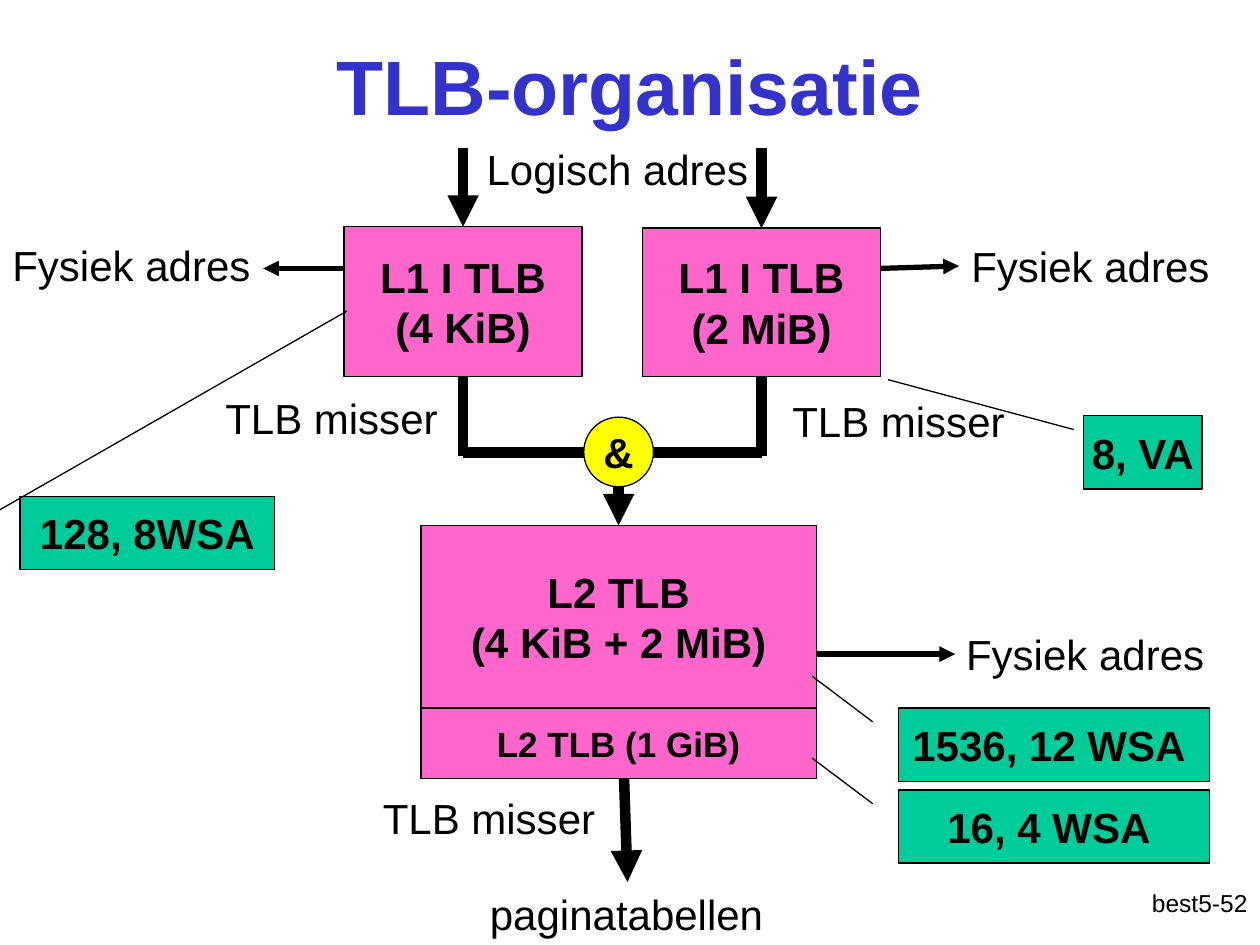
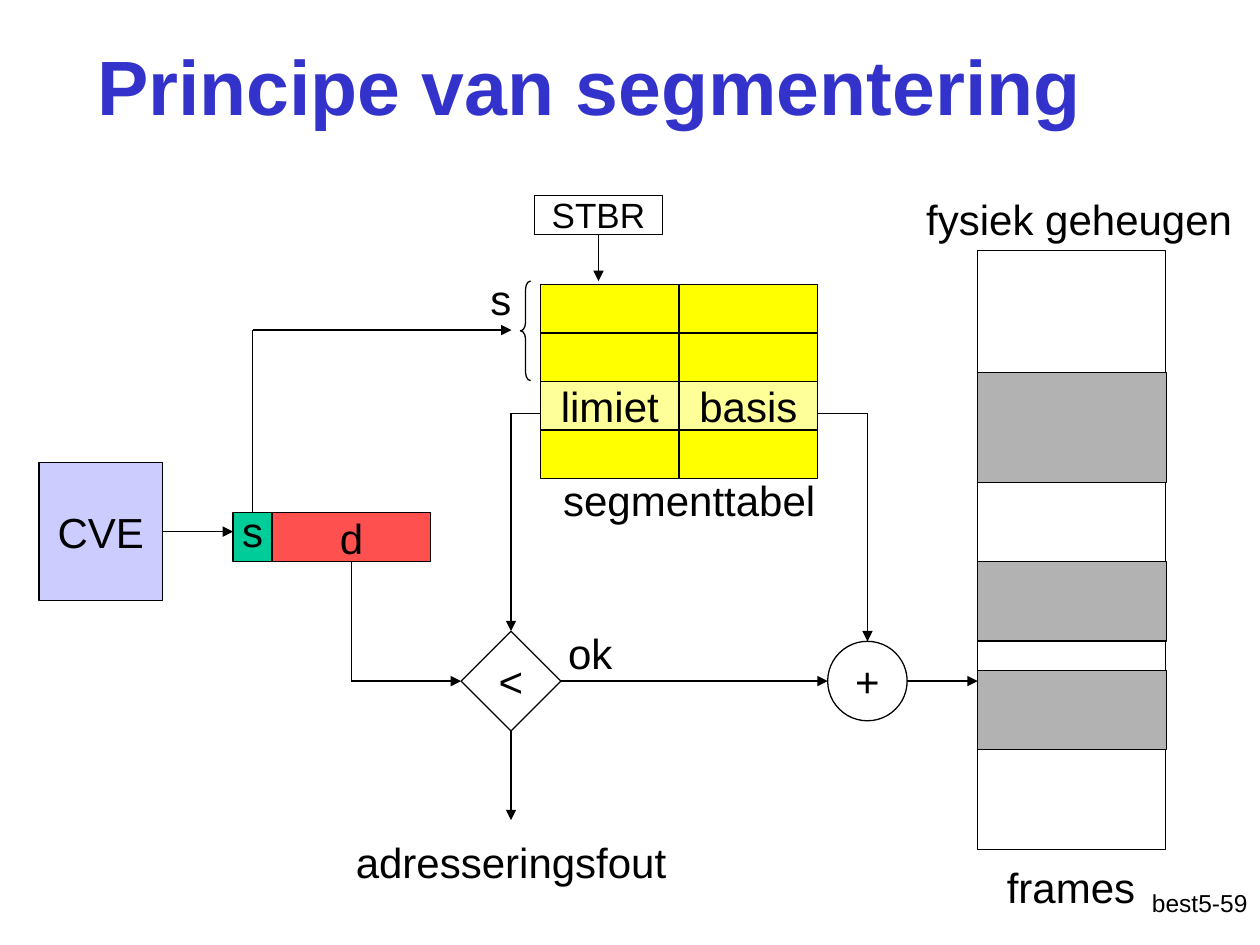
"""Build two slides on TLB organisation and segmentation."""
from itertools import pairwise, product

from lxml.etree import SubElement
from pptx import Presentation
from pptx.dml.color import RGBColor
from pptx.enum.shapes import MSO_CONNECTOR, MSO_SHAPE
from pptx.enum.text import MSO_ANCHOR, MSO_AUTO_SIZE, PP_ALIGN
from pptx.oxml.ns import qn
from pptx.util import Pt

COLOURS = {
    "title": "3333CC", "ink": "000000", "tlb": "FF66CC", "spec": "00CC99",
    "and": "FFFF00", "entry": "FFFF00", "chosen": "FFFF99", "cpu": "CCCCFF",
    "offset": "FF5050", "memory": "FFFFFF", "segment": "B2B2B2",
}
FRAME = {
    "word_wrap": True, "auto_size": MSO_AUTO_SIZE.NONE,
    "margin_left": Pt(7.2), "margin_right": Pt(7.2),
    "margin_top": Pt(3.6), "margin_bottom": Pt(3.6),
}
TOP, LEFT, BOTTOM, RIGHT = range(4)
CALLOUT_START = (0.188, -0.083)


def apply(target, formats):
    for name, value in formats.items():
        setattr(target, name, value)


def rgb(name):
    return RGBColor.from_string(COLOURS[name])


class Deck:
    def __init__(self):
        self.prs = Presentation()
        apply(self.prs, {"slide_width": Pt(720), "slide_height": Pt(540)})
        self.current = None

    def slide(self, title, number, left):
        self.current = self.prs.slides.add_slide(self.prs.slide_layouts[5])
        heading = self.current.shapes.title
        apply(heading, {"left": Pt(left), "top": Pt(3.6),
                        "width": Pt(612), "height": Pt(90)})
        self.set_text(heading, title, 44, bold=True, colour="title")
        self.label(f"best5-{number}", 570.2, 504, 149.8, 14, PP_ALIGN.RIGHT)

    def set_text(self, shape, text, size=24, bold=False, colour="ink",
                 align=PP_ALIGN.CENTER, anchor=MSO_ANCHOR.MIDDLE, wrap=True, spacing=None):
        frame = shape.text_frame
        frame.text = text
        apply(frame, FRAME | {"vertical_anchor": anchor, "word_wrap": wrap})
        for paragraph in frame.paragraphs:
            apply(paragraph, {"alignment": align, "line_spacing": spacing})
            for run in paragraph.runs:
                apply(run.font, {"name": "Arial", "size": Pt(size), "bold": bold})
                run.font.color.rgb = rgb(colour)

    def label(self, text, x, y, width, size=24, align=PP_ALIGN.CENTER):
        box = self.current.shapes.add_textbox(Pt(x), Pt(y), Pt(width), Pt(36))
        self.set_text(box, text, size, align=align, anchor=MSO_ANCHOR.TOP)

    def block(self, area, fill=None, text="", kind=MSO_SHAPE.RECTANGLE, **style):
        shape = self.current.shapes.add_shape(kind, *map(Pt, area))
        shape.shadow.inherit = False
        if fill:
            shape.fill.solid()
            shape.fill.fore_color.rgb = rgb(fill)
        else:
            shape.fill.background()
        shape.line.color.rgb = rgb("ink")
        shape.line.width = Pt(0.75)
        if text:
            self.set_text(shape, text, wrap=False, **style)
        return shape

    def callout(self, text, area, target):
        shape = self.block(area, "spec", text, MSO_SHAPE.LINE_CALLOUT_1, bold=True)
        for index, value in enumerate(CALLOUT_START + target):
            shape.adjustments[index] = value

    def route(self, *stops, weight=0.75, arrow=True):
        for start, end in pairwise(stops):
            self.line(start, end, weight, arrow and end is stops[-1])

    def line(self, start, end, weight, arrow):
        free = [isinstance(stop[0], (int, float)) for stop in (start, end)]
        points = [stop if loose else (0, 0) for stop, loose in zip((start, end), free)]
        connector = self.current.shapes.add_connector(
            MSO_CONNECTOR.STRAIGHT, *(Pt(value) for point in points for value in point))
        if not free[0]:
            connector.begin_connect(*start)
        if not free[1]:
            connector.end_connect(*end)
        connector.line.color.rgb = rgb("ink")
        connector.line.width = Pt(weight)
        properties = connector._element.spPr
        if arrow:
            SubElement(properties.find(qn("a:ln")), qn("a:tailEnd"), type="triangle")
        SubElement(properties, qn("a:effectLst"))


def tlb_slide(deck):
    deck.slide("TLB-organisatie", 52, 54)
    small_pages = deck.block((196.6, 129.6, 136, 85.6), "tlb", "L1 I TLB\n(4 KiB)", bold=True)
    large_pages = deck.block((367.2, 130.4, 136, 84.8), "tlb", "L1 I TLB\n(2 MiB)", bold=True)
    second_level = deck.block((240.5, 300.2, 226, 104.4), "tlb",
                              "L2 TLB\n(4 KiB + 2 MiB)", bold=True)

    bar_y = 258.5
    for tlb, x in ((small_pages, 264.6), (large_pages, 435.2)):
        deck.route((x, 84.8), (tlb, TOP), weight=6)
        deck.route((tlb, BOTTOM), (x, bar_y + 2.2), weight=6, arrow=False)
    deck.route((264.6, bar_y), (435.2, bar_y), weight=6, arrow=False)
    deck.route((353.5, bar_y), (second_level, TOP), weight=6)
    deck.route((356.5, 441.4), (358.6, 504), weight=6)
    deck.block((333.6, 238.4, 39.8, 39.8), "and", "&", MSO_SHAPE.OVAL, bold=True)
    deck.block((240.5, 404.6, 226, 40.4), "tlb", "L2 TLB (1 GiB)", size=20, bold=True)

    for start, end in (((196.6, 153.4), (150.4, 153.4)),
                       ((503.2, 153.4), (548, 152)),
                       ((466.5, 373.8), (545.8, 373.8))):
        deck.route(start, end, weight=3)
    for x, y in ((0, 133.2), (548, 134), (545, 355.7)):
        deck.label("Fysiek adres", x, y, 172, align=PP_ALIGN.LEFT)
    for x, y in ((92.9, 221), (416.9, 222.5), (182.9, 449.3)):
        deck.label("TLB misser", x, y, 193)
    deck.label("Logisch adres", 180, 78.5, 345.6)
    deck.label("paginatabellen", 262, 504, 192)

    for text, area, target in (
            ("128, 8WSA", (11.5, 283.7, 145.4, 41.8), (-2.535, 1.285)),
            ("8, VA", (619.2, 237.6, 67.7, 41.8), (-0.494, -1.65)),
            ("1536, 12 WSA ", (513.4, 404.6, 177.8, 41.8), (-0.437, -0.278)),
            ("16, 4 WSA ", (513.4, 451.4, 177.8, 41.8), (-0.437, -0.278))):
        deck.callout(text, area, target)


def segmentation_slide(deck):
    deck.slide("Principe van segmentering", 59, 31)
    deck.block((558.7, 143.3, 107.3, 342), "memory")
    for y, height in ((213, 62.9), (321, 45.4), (383, 45.4)):
        deck.block((558.7, y, 108, height), "segment")

    entries = {(2, 0): "limiet", (2, 1): "basis"}
    for row, column in product(range(4), range(2)):
        text = entries.get((row, column), "")
        deck.block((308.9 + 79.2 * column, 162.6 + 27.7 * row, 79.2, 27.7),
                   "chosen" if text else "entry", text)

    cpu = deck.block((22.3, 264.2, 70.6, 79.2), "cpu", "CVE")
    segment = deck.block((133.2, 293, 22.3, 28.1), "spec", "s", spacing=0.7)
    offset = deck.block((155.5, 293, 90.7, 28.1), "offset", "d")
    compare = deck.block((263.5, 360.7, 57, 57), text="<", kind=MSO_SHAPE.DIAMOND)
    deck.block((473, 366.5, 45.4, 45.4), text="+", kind=MSO_SHAPE.OVAL)
    base_register = deck.block((305.3, 111.6, 73.4, 22.3), text="STBR", size=20)
    brace = deck.block((297.4, 160.6, 5.8, 56.9), kind=MSO_SHAPE.LEFT_BRACE)
    brace.adjustments[0] = 0.8

    deck.route((cpu, RIGHT), (133.2, 303.8))
    deck.route((base_register, BOTTOM), (342, 160.6))
    deck.route((segment, TOP), (144.35, 188.6), (292.3, 188.6))
    deck.route((offset, BOTTOM), (200.85, 389.2), (compare, LEFT))
    deck.route((308.9, 236.2), (292, 236.2), (compare, TOP))
    deck.route((467.3, 236.2), (495.7, 236.2), (495.7, 366.5))
    deck.route((compare, BOTTOM), (292, 468.7))
    deck.route((compare, RIGHT), (473, 389.2))
    deck.route((518.4, 389.2), (558.7, 389.2))

    for text, x, y, width in (("segmenttabel", 303.1, 267.8, 181.4),
                              ("frames", 529.9, 488.9, 164.2),
                              ("fysiek geheugen", 513.4, 107.3, 206.6),
                              ("s", 269.3, 152.6, 33.8),
                              ("adresseringsfout", 178.6, 474.5, 226.8),
                              ("ok", 314.6, 355, 45.4)):
        deck.label(text, x, y, width)


def main():
    deck = Deck()
    tlb_slide(deck)
    segmentation_slide(deck)
    deck.prs.save("out.pptx")


if __name__ == "__main__":
    main()
